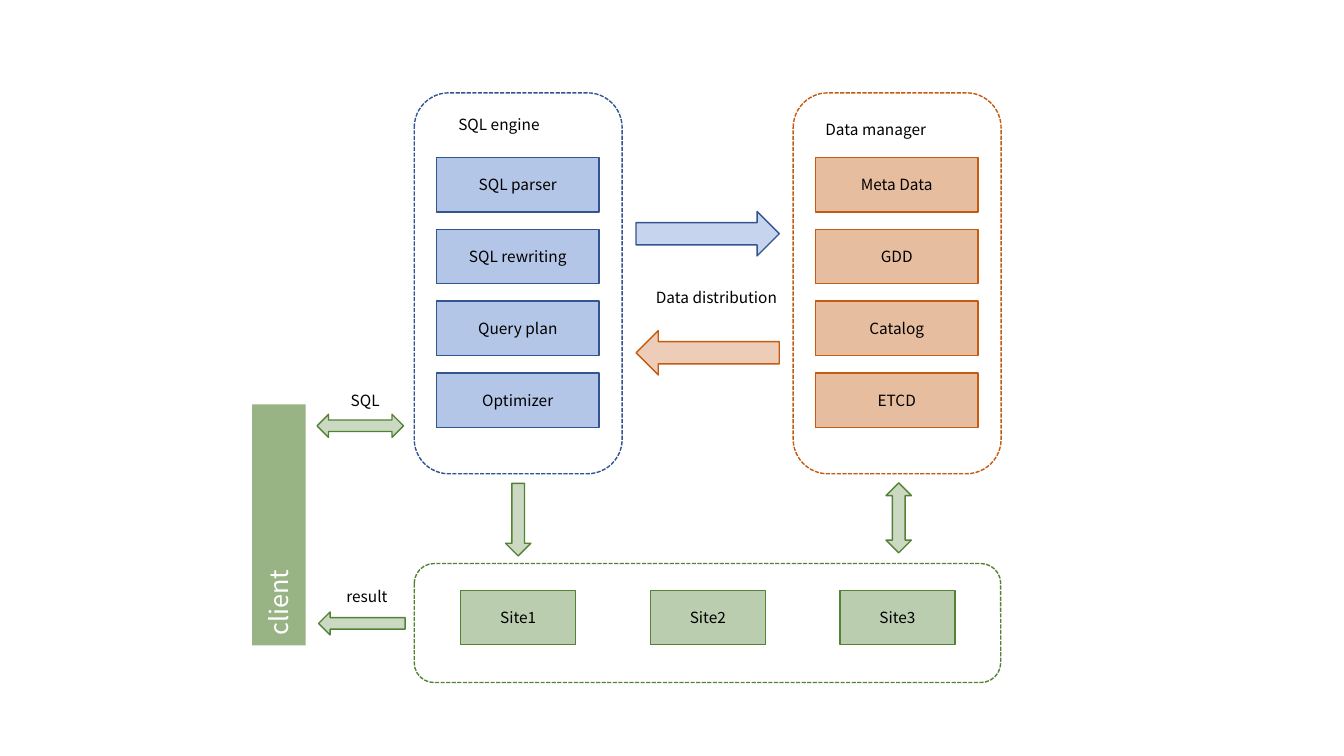
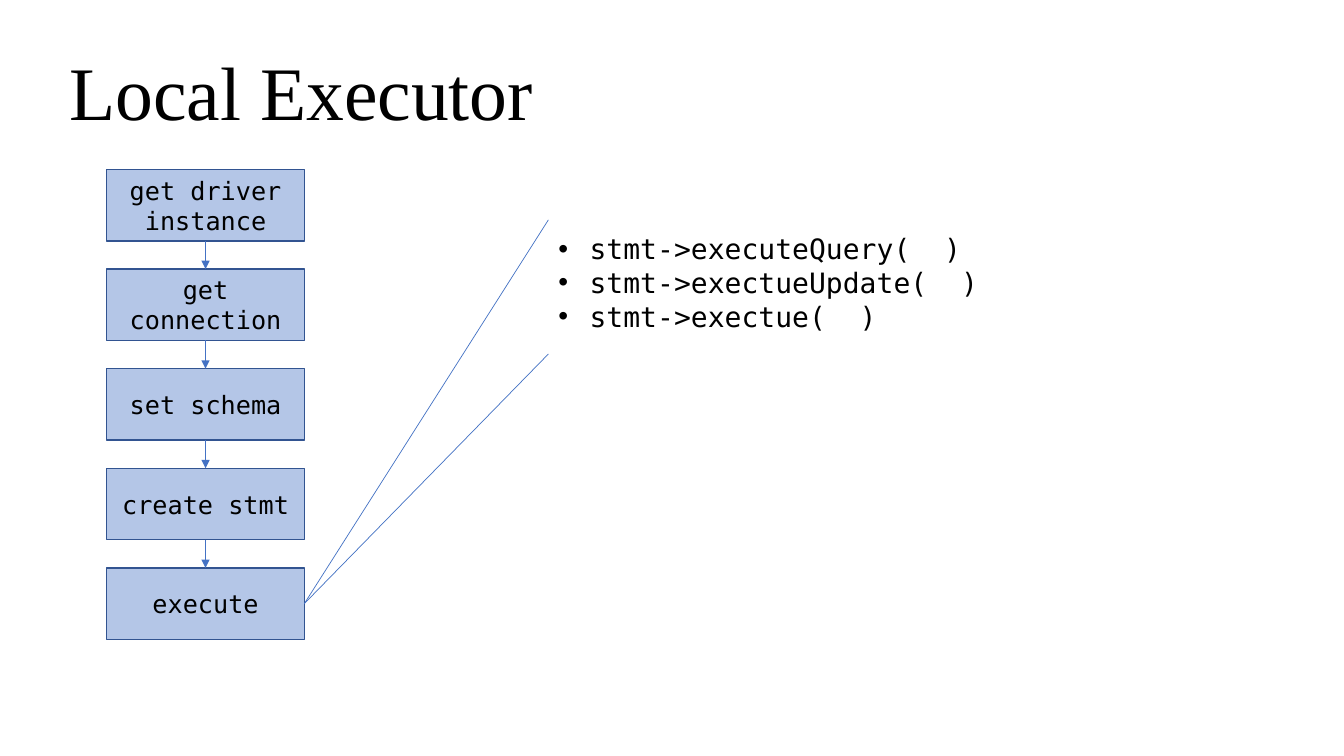
from dataclasses import dataclass

from lxml.etree import SubElement
from pptx import Presentation
from pptx.dml.color import RGBColor
from pptx.enum.dml import MSO_LINE
from pptx.enum.shapes import MSO_CONNECTOR, MSO_SHAPE
from pptx.enum.text import MSO_ANCHOR, PP_ALIGN
from pptx.oxml.ns import qn
from pptx.shapes.autoshape import Shape
from pptx.shapes.connector import Connector
from pptx.slide import Slide
from pptx.util import Cm, Pt

SANS = "Noto Sans CJK SC"
MONO = "DejaVu Sans Mono"
SERIF = "Times New Roman"
BLACK, WHITE = "000000", "FFFFFF"
TOP, BOTTOM, RIGHT = 0, 2, 3  # connection sites of a rectangle


@dataclass(frozen=True)
class Palette:
    fill: str
    line: str


BLUE = Palette("4472C4", "325491")
ORANGE = Palette("C55A11", "C55A11")
GREEN = Palette("548235", "548235")


@dataclass(frozen=True)
class Area:
    """Left, top, width and height in centimetres."""
    left: float
    top: float
    width: float
    height: float

    def lengths(self) -> tuple[Cm, Cm, Cm, Cm]:
        return Cm(self.left), Cm(self.top), Cm(self.width), Cm(self.height)


@dataclass(frozen=True)
class Panel:
    title: str
    title_area: Area
    left: float
    palette: Palette
    components: tuple[str, ...]


@dataclass(frozen=True)
class Arrow:
    kind: MSO_SHAPE
    area: Area
    palette: Palette


PANELS = (
    Panel("SQL engine", Area(11.3, 2.77, 3.45, 0.94), 10.44, BLUE,
          ("SQL parser", "SQL rewriting", "Query plan", "Optimizer")),
    Panel("Data manager", Area(20.55, 2.9, 4.09, 0.94), 19.99, ORANGE,
          ("Meta Data", "GDD", "Catalog", "ETCD")),
)
ARROWS = (
    Arrow(MSO_SHAPE.RIGHT_ARROW, Area(16.03, 5.33, 3.61, 1.12), BLUE),
    Arrow(MSO_SHAPE.LEFT_ARROW, Area(16.03, 8.33, 3.61, 1.12), ORANGE),
    Arrow(MSO_SHAPE.DOWN_ARROW, Area(12.74, 12.18, 0.64, 1.83), GREEN),
    Arrow(MSO_SHAPE.UP_DOWN_ARROW, Area(22.33, 12.17, 0.64, 1.76), GREEN),
    Arrow(MSO_SHAPE.LEFT_RIGHT_ARROW, Area(7.99, 10.44, 2.18, 0.58), GREEN),
    Arrow(MSO_SHAPE.LEFT_ARROW, Area(8.03, 15.42, 2.18, 0.58), GREEN),
)
ARROW_LABELS = (
    ("Data distribution", Area(16.28, 7.14, 4.22, 0.74)),
    ("result", Area(8.48, 14.68, 1.7, 0.74)),
    ("SQL", Area(8.59, 9.73, 1.7, 0.74)),
)
SITES = ("Site1", "Site2", "Site3")
STEPS = ("get driver instance", "get connection", "set schema", "create stmt", "execute")
CALLS = ("stmt->executeQuery(  )", "stmt->exectueUpdate(  )", "stmt->exectue(  )")


def color(value: str) -> RGBColor:
    return RGBColor.from_string(value)


def write_text(shape: Shape, *lines: str, size: float = 11, font: str = SANS,
               text_color: str = BLACK, align: PP_ALIGN = PP_ALIGN.LEFT,
               anchor: MSO_ANCHOR = MSO_ANCHOR.TOP, wrap: bool = True,
               bullet_indent: float = 0) -> None:
    frame = shape.text_frame
    frame.word_wrap = wrap
    frame.vertical_anchor = anchor
    for index, line in enumerate(lines):
        paragraph = frame.add_paragraph() if index else frame.paragraphs[0]
        paragraph.alignment = align
        if bullet_indent:
            properties = paragraph._p.get_or_add_pPr()
            properties.set("marL", str(Cm(bullet_indent)))
            properties.set("indent", str(-Cm(bullet_indent)))
            SubElement(properties, qn("a:buFont"), typeface="Arial")
            SubElement(properties, qn("a:buChar"), char="•")
        run = paragraph.add_run()
        run.text = line
        run.font.size = Pt(size)
        run.font.name = font
        run.font.color.rgb = color(text_color)


def add_text(slide: Slide, area: Area, *lines: str, **text_format) -> None:
    write_text(slide.shapes.add_textbox(*area.lengths()), *lines, **text_format)


def add_tinted(slide: Slide, kind: MSO_SHAPE, area: Area, palette: Palette,
               opacity: int, outlined: bool = True) -> Shape:
    """Add a shape whose fill shows with the given opacity in percent."""
    shape = slide.shapes.add_shape(kind, *area.lengths())
    shape.shadow.inherit = False
    shape.fill.solid()
    shape.fill.fore_color.rgb = color(palette.fill)
    fill_color = shape._element.spPr.find(qn("a:solidFill"))[0]
    SubElement(fill_color, qn("a:alpha"), val=str(opacity * 1000))
    if outlined:
        shape.line.color.rgb = color(palette.line)
        shape.line.width = Pt(1)
    else:
        shape.line.fill.background()
    return shape


def add_box(slide: Slide, area: Area, palette: Palette, text: str, **text_format) -> Shape:
    box = add_tinted(slide, MSO_SHAPE.RECTANGLE, area, palette, 40)
    write_text(box, text, align=PP_ALIGN.CENTER, anchor=MSO_ANCHOR.MIDDLE, **text_format)
    return box


def add_dashed_frame(slide: Slide, area: Area, palette: Palette) -> None:
    frame = slide.shapes.add_shape(MSO_SHAPE.ROUNDED_RECTANGLE, *area.lengths())
    frame.shadow.inherit = False
    frame.fill.background()
    frame.line.color.rgb = color(palette.line)
    frame.line.width = Pt(1)
    frame.line.dash_style = MSO_LINE.SQUARE_DOT


def add_line(slide: Slide, start: Shape, site: int,
             end_left: float = 0, end_top: float = 0) -> Connector:
    """Draw a thin line from a side of a box to a point in centimetres."""
    line = slide.shapes.add_connector(
        MSO_CONNECTOR.STRAIGHT, 0, 0, Cm(end_left), Cm(end_top))
    line.begin_connect(start, site)
    line.line.color.rgb = color(BLUE.fill)
    line.line.width = Pt(0.5)
    SubElement(line._element.spPr, qn("a:effectLst"))
    return line


def add_step_arrow(slide: Slide, upper: Shape, lower: Shape) -> None:
    arrow = add_line(slide, upper, BOTTOM)
    arrow.end_connect(lower, TOP)
    SubElement(arrow.line._get_or_add_ln(), qn("a:tailEnd"), type="triangle")


def add_client(slide: Slide) -> None:
    client = add_tinted(slide, MSO_SHAPE.RECTANGLE, Area(6.35, 10.19, 1.35, 6.07),
                        GREEN, 60, outlined=False)
    client.rotation = 180
    write_text(client, "client", size=18, text_color=WHITE,
               align=PP_ALIGN.CENTER, anchor=MSO_ANCHOR.MIDDLE)
    client.text_frame._txBody.bodyPr.set("vert", "eaVert")


def build_architecture(slide: Slide) -> None:
    for panel in PANELS:
        add_dashed_frame(slide, Area(panel.left, 2.34, 5.24, 9.6), panel.palette)
        for row, component in enumerate(panel.components):
            area = Area(panel.left + 0.56, 3.97 + row * 1.81, 4.1, 1.37)
            add_box(slide, area, panel.palette, component)
        add_text(slide, panel.title_area, panel.title)
    add_dashed_frame(slide, Area(10.44, 14.2, 14.78, 3), GREEN)
    for column, site in enumerate(SITES):
        add_box(slide, Area(11.61 + column * 4.78, 14.88, 2.9, 1.37), GREEN, site)
    add_client(slide)
    for arrow in ARROWS:
        add_tinted(slide, arrow.kind, arrow.area, arrow.palette, 30)
    for label, area in ARROW_LABELS:
        add_text(slide, area, label)


def build_local_executor(slide: Slide) -> None:
    add_text(slide, Area(1.5, 1, 12.32, 2.56), "Local Executor",
             size=54, font=SERIF, wrap=False)
    boxes = [add_box(slide, Area(2.69, 4.27 + row * 2.51, 4.98, 1.8), BLUE, step,
                     size=18, font=MONO)
             for row, step in enumerate(STEPS)]
    for upper, lower in zip(boxes, boxes[1:]):
        add_step_arrow(slide, upper, lower)
    for end_top in (5.54, 8.92):
        add_line(slide, boxes[-1], RIGHT, 13.82, end_top)
    add_text(slide, Area(13.82, 5.72, 14.45, 2.82), *CALLS,
             size=20, font=MONO, bullet_indent=0.79)


def main() -> None:
    presentation = Presentation()
    presentation.slide_width = Cm(33.87)
    presentation.slide_height = Cm(19.05)
    blank = presentation.slide_layouts[6]
    for build in (build_architecture, build_local_executor):
        build(presentation.slides.add_slide(blank))
    presentation.save("out.pptx")


if __name__ == "__main__":
    main()
